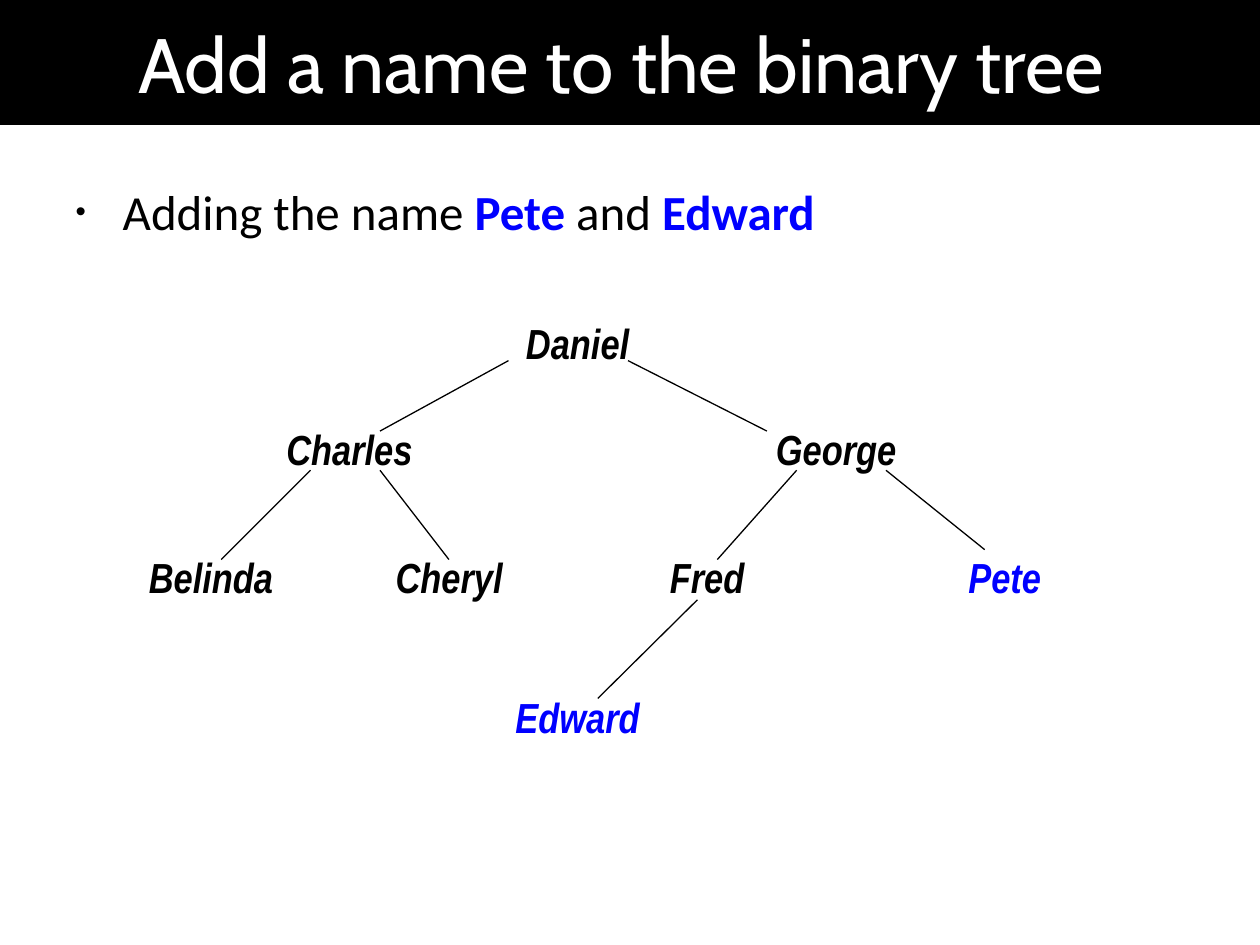
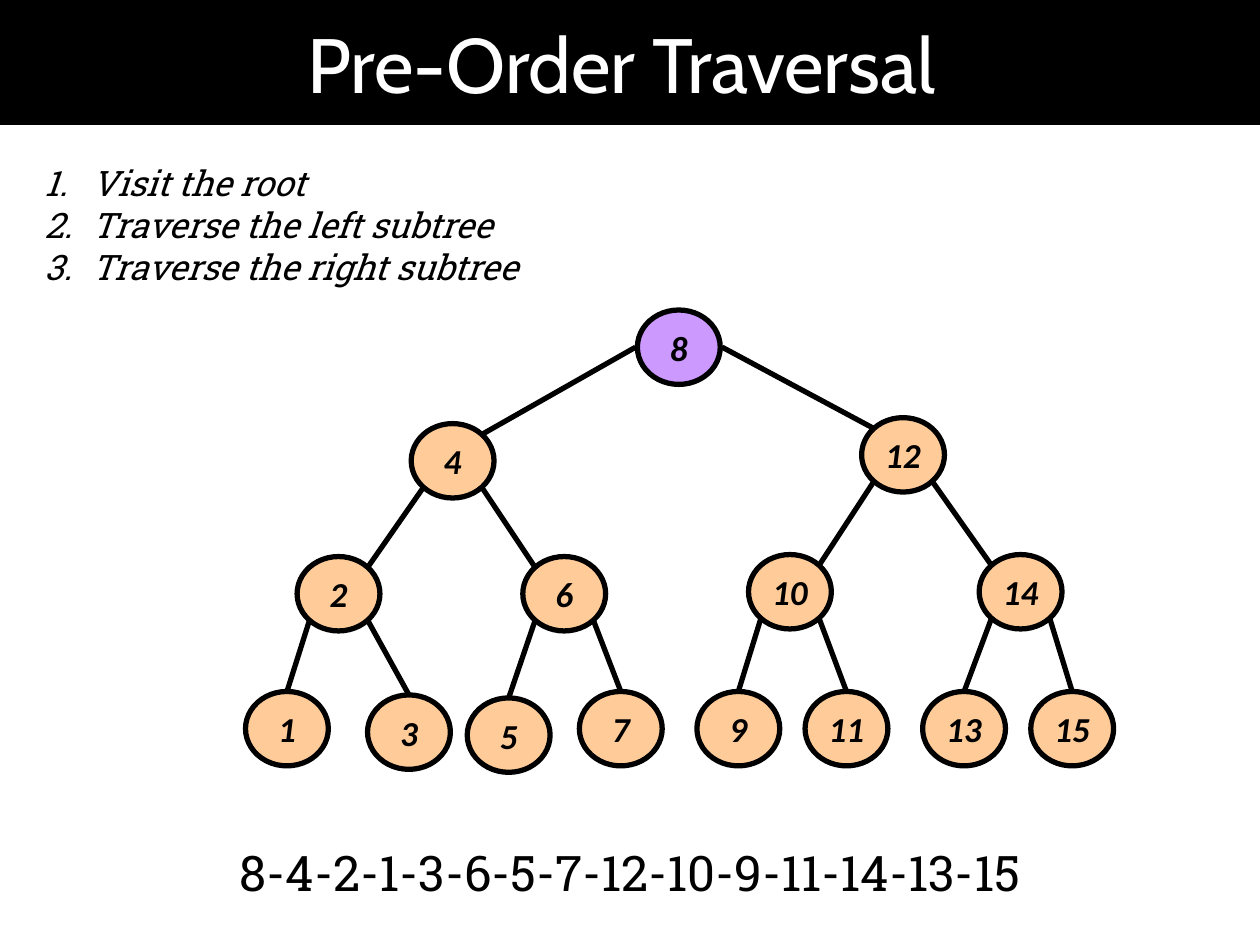
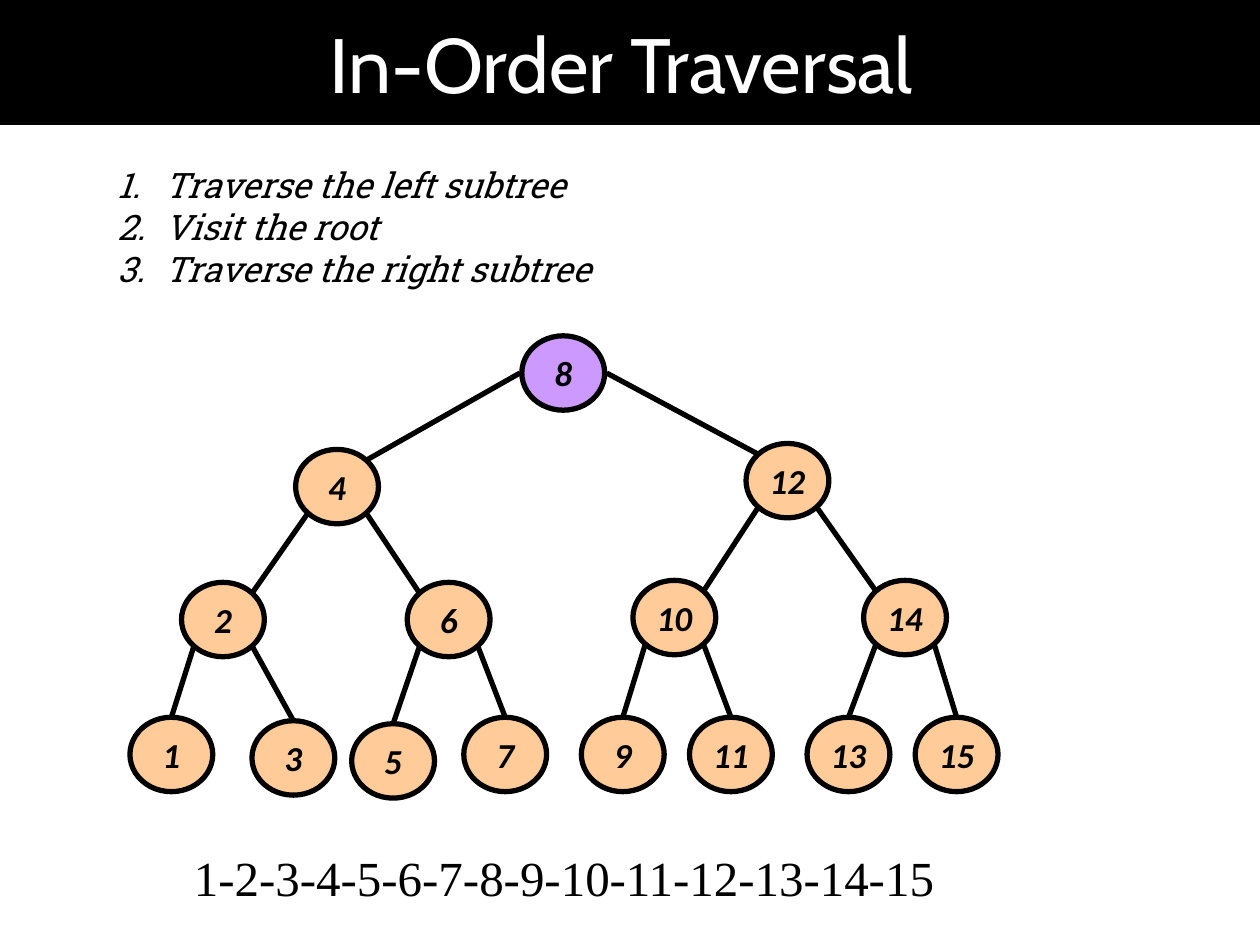
from lxml.etree import SubElement
from pptx import Presentation
from pptx.dml.color import RGBColor
from pptx.enum.shapes import MSO_CONNECTOR, MSO_SHAPE
from pptx.enum.text import MSO_ANCHOR, MSO_AUTO_SIZE, PP_ALIGN
from pptx.oxml.ns import qn
from pptx.util import Cm, Pt

BLACK = RGBColor(0x00, 0x00, 0x00)
WHITE = RGBColor(0xFF, 0xFF, 0xFF)
BLUE = RGBColor(0x00, 0x00, 0xFF)
PURPLE = RGBColor(0xCC, 0x99, 0xFF)
PEACH = RGBColor(0xFF, 0xCC, 0x99)

SLIDE_WIDTH, SLIDE_HEIGHT = 25.4, 19.05
BAND_HEIGHT = 2.52
INDENT = 0.95

# Name tree: label -> left and top in the tree box
NAME_WIDTH, NAME_HEIGHT = 5.59, 1.27
NAMES = {
    "Daniel": (7.39, 0),
    "Charles": (2.79, 2.13), "George": (12.6, 2.13),
    "Belinda": (0, 4.72), "Cheryl": (4.8, 4.72),
    "Fred": (10, 4.72), "Pete": (16, 4.72),
    "Edward": (7.39, 7.54),
}
ADDED_NAMES = ("Pete", "Edward")
NAME_BRANCHES = [
    (8.79, 0.99, 6.2, 2.41), (11.2, 0.99, 14, 2.41),
    (4.8, 3.2, 3, 5), (6.2, 3.2, 7.59, 5),
    (14.6, 3.2, 13, 5), (16.4, 3.2, 18.39, 4.8),
    (12.6, 5.81, 10.59, 7.8),
]

# Number tree, level by level: the children of item i are 2i + 1 and 2i + 2
NODE_WIDTH, NODE_HEIGHT = 1.67, 1.5
CORNER_X, CORNER_Y = 0.25, 0.22
ROOT_GAP = 0.04
NODES = [
    ("8", 7.9, 0),
    ("4", 3.34, 2.29), ("12", 12.42, 2.17),
    ("2", 1.04, 4.97), ("6", 5.59, 4.97), ("10", 10.14, 4.93), ("14", 14.79, 4.93),
    ("1", 0, 7.69), ("3", 2.46, 7.76), ("5", 4.47, 7.82), ("7", 6.73, 7.69),
    ("9", 9.1, 7.69), ("11", 11.28, 7.69), ("13", 13.65, 7.69), ("15", 15.83, 7.69),
]
FIRST_LEAF = 7


def place(shape, left, top, width, height):
    shape.left, shape.top = Cm(left), Cm(top)
    shape.width, shape.height = Cm(width), Cm(height)


def format_runs(paragraph, name, size, color=BLACK, bold=False, italic=False):
    for run in paragraph.runs:
        font = run.font
        font.name, font.size = name, Pt(size)
        font.bold, font.italic = bold, italic
        font.color.rgb = color


def add_line(shapes, left, top, ends, weight):
    """Draw a black line between ends measured from left and top."""
    x1, y1, x2, y2 = ends
    line = shapes.add_connector(MSO_CONNECTOR.STRAIGHT, Cm(left + x1), Cm(top + y1),
                                Cm(left + x2), Cm(top + y2))
    line.line.color.rgb = BLACK
    line.line.width = Pt(weight)
    SubElement(line._element.spPr, qn("a:effectLst"))


def add_label(slide, text, left, top, width, height, wrap):
    box = slide.shapes.add_textbox(Cm(left), Cm(top), Cm(width), Cm(height))
    box.text_frame.word_wrap = wrap
    box.text_frame.text = text
    paragraph = box.text_frame.paragraphs[0]
    paragraph.alignment = PP_ALIGN.CENTER
    return paragraph


def set_bullet(paragraph, tag, attributes, percent=None):
    properties = paragraph._p.get_or_add_pPr()
    properties.set("marL", str(Cm(INDENT)))
    properties.set("indent", str(-Cm(INDENT)))
    if percent:
        SubElement(properties, qn("a:buSzPct"), val=str(percent * 1000))
    SubElement(properties, qn("a:buFont"), typeface="Arial" if percent else "+mj-lt")
    SubElement(properties, qn(tag), **attributes)
    paragraph.space_before = Pt(0)


def add_band(slide):
    """Put the black title band behind everything else on the slide."""
    band = slide.shapes.add_shape(MSO_SHAPE.RECTANGLE, 0, 0, Cm(SLIDE_WIDTH), Cm(BAND_HEIGHT))
    band.shadow.inherit = False
    band.fill.solid()
    band.fill.fore_color.rgb = BLACK
    band.line.fill.background()
    slide.shapes._spTree.insert(2, band._element)


def add_titled_slide(presentation, text):
    slide = presentation.slides.add_slide(presentation.slide_layouts[1])
    add_band(slide)
    title = slide.shapes.title
    place(title, 1.1, 0, 22.86, BAND_HEIGHT)
    title.text_frame.text = text
    title.text_frame.auto_size = MSO_AUTO_SIZE.NONE
    title.text_frame.vertical_anchor = MSO_ANCHOR.MIDDLE
    paragraph = title.text_frame.paragraphs[0]
    paragraph.alignment = PP_ALIGN.CENTER
    format_runs(paragraph, "Cabin", 44, WHITE)
    return slide


def fill_intro(slide, left, top, width, height):
    """Bulleted sentence with the added names picked out in blue."""
    body = slide.placeholders[1]
    place(body, left, top, width, height)
    body.text_frame.auto_size = MSO_AUTO_SIZE.NONE
    paragraph = body.text_frame.paragraphs[0]
    set_bullet(paragraph, "a:buChar", {"char": "•"}, percent=60)
    for text in ("Adding the name ", "Pete", " and ", "Edward"):
        paragraph.add_run().text = text
    format_runs(paragraph, "Calibri", 28)
    for run in paragraph.runs:
        if run.text in ADDED_NAMES:
            run.font.bold = True
            run.font.color.rgb = BLUE


def fill_steps(slide, steps, left, top, width, height):
    """Numbered steps of a traversal."""
    body = slide.placeholders[1]
    place(body, left, top, width, height)
    frame = body.text_frame
    frame.text = "\n".join(steps)
    frame.auto_size = MSO_AUTO_SIZE.NONE
    frame.vertical_anchor = MSO_ANCHOR.MIDDLE
    for paragraph in frame.paragraphs:
        set_bullet(paragraph, "a:buAutoNum", {"type": "arabicPeriod"})
        format_runs(paragraph, "Roboto Slab", 20, italic=True)


def draw_name_tree(slide, left, top):
    for text, (x, y) in NAMES.items():
        paragraph = add_label(slide, text, left + x, top + y, NAME_WIDTH, NAME_HEIGHT, True)
        color = BLUE if text in ADDED_NAMES else BLACK
        format_runs(paragraph, "Arial Narrow", 24, color, bold=True, italic=True)
    for ends in NAME_BRANCHES:
        add_line(slide.shapes, left, top, ends, 0.75)


def branch_ends(child):
    """Ends of the branch from a node's parent to the node itself."""
    parent = (child - 1) // 2
    is_left = child % 2 == 1
    _, parent_x, parent_y = NODES[parent]
    _, child_x, child_y = NODES[child]
    if parent == 0:
        x1 = parent_x - ROOT_GAP if is_left else parent_x + NODE_WIDTH + ROOT_GAP
        y1 = parent_y + NODE_HEIGHT / 2
    else:
        x1 = parent_x + (CORNER_X if is_left else NODE_WIDTH - CORNER_X)
        y1 = parent_y + NODE_HEIGHT - CORNER_Y
    if child >= FIRST_LEAF:
        return x1, y1, child_x + NODE_WIDTH / 2, child_y
    x2 = child_x + (NODE_WIDTH - CORNER_X if is_left else CORNER_X)
    return x1, y1, x2, child_y + CORNER_Y


def draw_number_tree(slide, left, top):
    shapes = slide.shapes.add_group_shape().shapes
    for child in range(1, len(NODES)):
        add_line(shapes, left, top, branch_ends(child), 3)
    for index, (text, x, y) in enumerate(NODES):
        node = shapes.add_shape(MSO_SHAPE.OVAL, Cm(left + x), Cm(top + y),
                                Cm(NODE_WIDTH), Cm(NODE_HEIGHT))
        node.shadow.inherit = False
        node.fill.solid()
        node.fill.fore_color.rgb = PURPLE if index == 0 else PEACH
        node.line.color.rgb = BLACK
        node.line.width = Pt(3)
        frame = node.text_frame
        frame.text = text
        frame.word_wrap = False
        frame.vertical_anchor = MSO_ANCHOR.MIDDLE
        frame.paragraphs[0].alignment = PP_ALIGN.CENTER
        format_runs(frame.paragraphs[0], "Calibri", 20, bold=True, italic=True)


def add_sequence(slide, text, font_name, left, top, width):
    """Visiting order under the tree."""
    paragraph = add_label(slide, text, left, top, width, 1.45, False)
    format_runs(paragraph, font_name, 28)


def main():
    presentation = Presentation()
    presentation.slide_width = Cm(SLIDE_WIDTH)
    presentation.slide_height = Cm(SLIDE_HEIGHT)

    # Adding names
    slide = add_titled_slide(presentation, "Add a name to the binary tree")
    fill_intro(slide, 1.27, 3.53, 22.86, 10.26)
    draw_name_tree(slide, 1.46, 6.28)

    # Pre-order
    visit, go_left, go_right = ("Visit the root", "Traverse the left subtree",
                                "Traverse the right subtree")
    slide = add_titled_slide(presentation, "Pre-Order Traversal")
    fill_steps(slide, (visit, go_left, go_right), 0.64, 3.12, 12.7, 2.82)
    draw_number_tree(slide, 4.95, 6.25)
    add_sequence(slide, "8-4-2-1-3-6-5-7-12-10-9-11-14-13-15", "Roboto Slab",
                 2.98, 16.85, 19.43)

    # In-order
    slide = add_titled_slide(presentation, "In-Order Traversal")
    fill_steps(slide, (go_left, visit, go_right), 2.11, 3.15, 12.7, 2.82)
    draw_number_tree(slide, 2.62, 6.77)
    add_sequence(slide, "1-2-3-4-5-6-7-8-9-10-11-12-13-14-15", "Times New Roman",
                 3.56, 16.97, 15.62)

    presentation.save("out.pptx")


if __name__ == "__main__":
    main()
